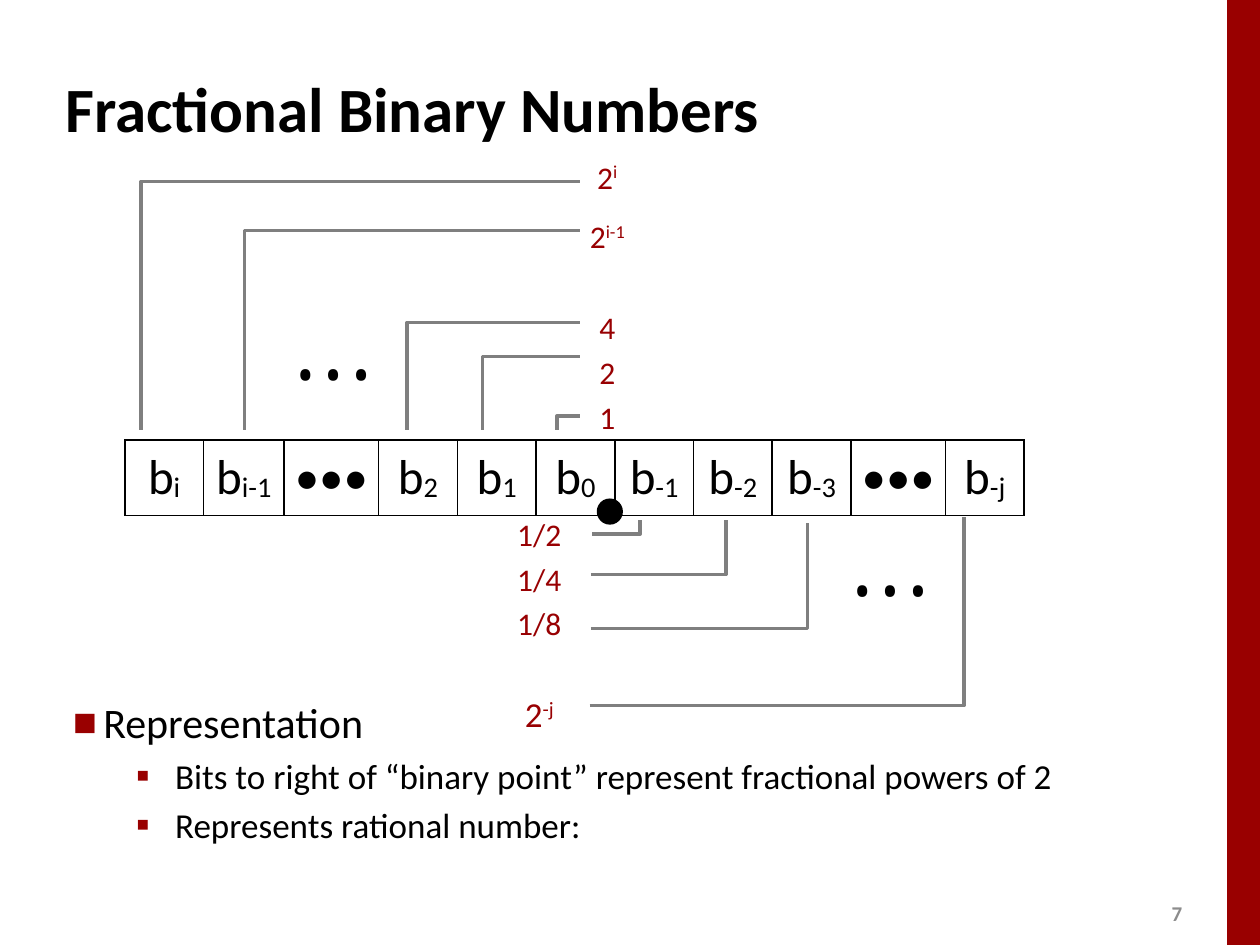
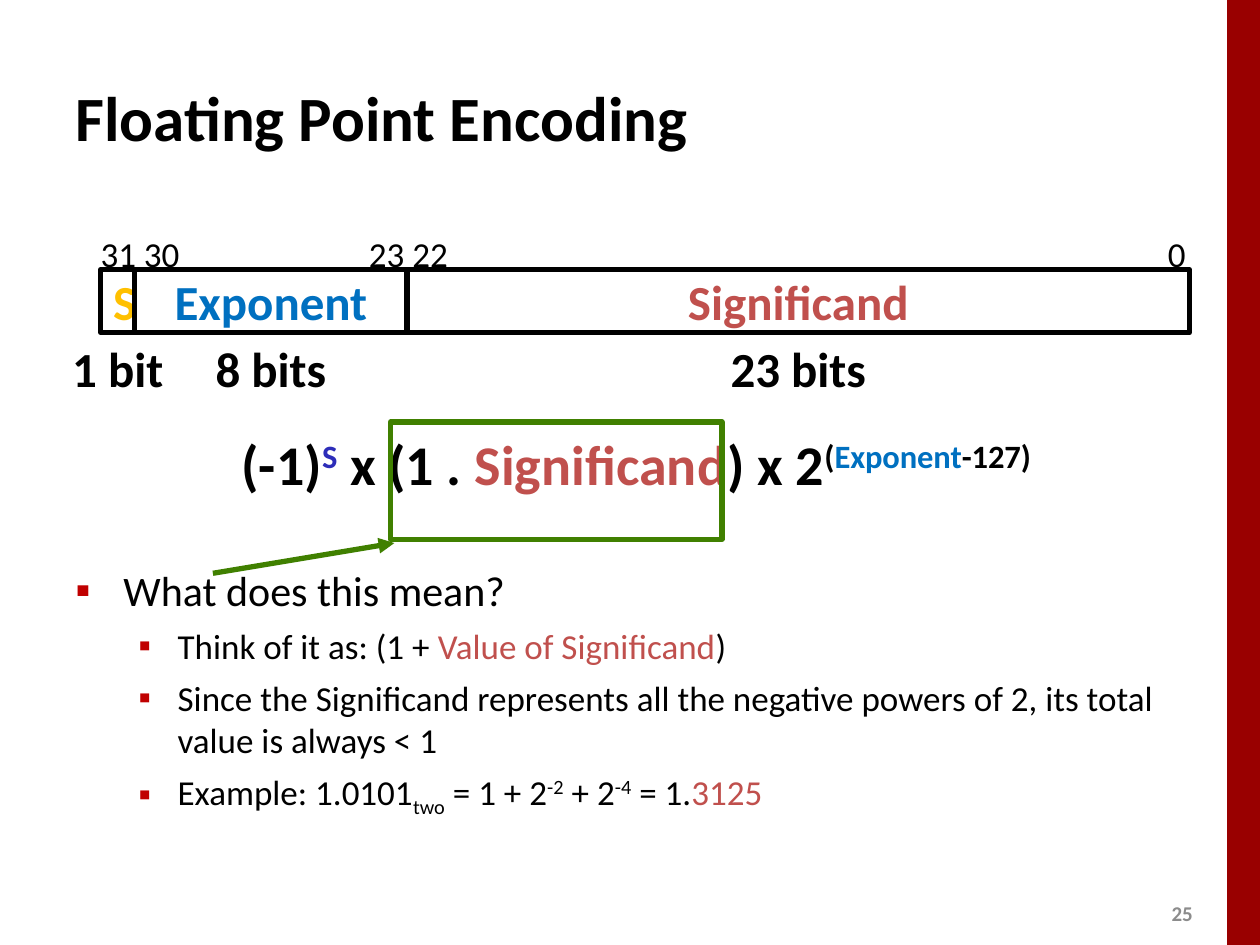
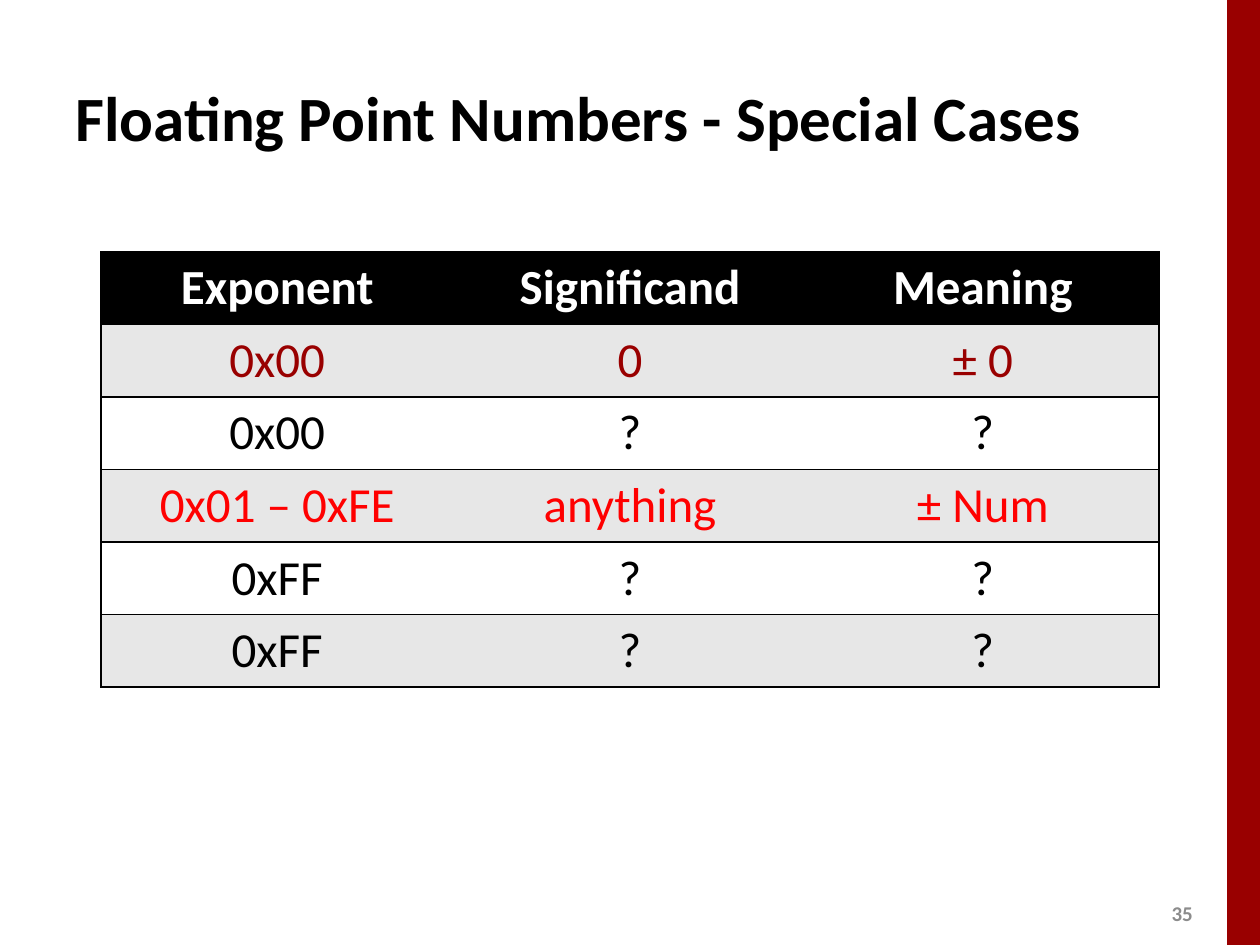
from dataclasses import dataclass
from typing import NamedTuple, Optional

from lxml.etree import SubElement
from pptx import Presentation
from pptx.dml.color import RGBColor
from pptx.enum.shapes import MSO_CONNECTOR as CONN, MSO_SHAPE as SHAPE
from pptx.enum.text import MSO_ANCHOR as ANCHOR, MSO_AUTO_SIZE as AUTO, PP_ALIGN as ALIGN
from pptx.oxml.ns import qn
from pptx.util import Inches, Pt

BLACK = RGBColor(0x00, 0x00, 0x00)
WHITE = RGBColor(0xFF, 0xFF, 0xFF)
BAND_RED = RGBColor(0x99, 0x00, 0x00)
WEIGHT_RED = RGBColor(0x98, 0x00, 0x02)
BULLET_RED = RGBColor(0xC0, 0x00, 0x00)
BRIGHT_RED = RGBColor(0xFF, 0x00, 0x00)
SIGNIFICAND = RGBColor(0xC0, 0x50, 0x4D)
EXPONENT = RGBColor(0x00, 0x70, 0xC0)
SIGN = RGBColor(0xFF, 0xC0, 0x00)
POWER_BLUE = RGBColor(0x2D, 0x2D, 0xB9)
GREEN = RGBColor(0x40, 0x80, 0x00)
BRACKET_GRAY = RGBColor(0x7F, 0x7F, 0x7F)
NUMBER_GRAY = RGBColor(0x8C, 0x8C, 0x8C)
STRIPE_GRAY = RGBColor(0xE7, 0xE7, 0xE7)

NO_TABLE_STYLE = "{2D5ABB26-0587-4C30-8999-92F81FD0307C}"
TITLE_BOX = (0.5, 0.3, 9, 1.25)
PADDING = (0.1, 0.05, 0.1, 0.05)


class Run(NamedTuple):
    """A piece of text with its colour, baseline shift in percent and size."""
    text: str
    color: Optional[RGBColor] = None
    base: int = 0
    size: Optional[float] = None


class Bullet(NamedTuple):
    """The look of one list level."""
    mark: str
    color: RGBColor
    scale: int
    margin: float
    hang: float
    size: float
    before: float
    level: int = 0


class Bracket(NamedTuple):
    """A horizontal bar that turns into a vertical leg."""
    bar_x: float
    bar_y: float
    leg_x: float
    leg_y: float


class Field(NamedTuple):
    """One bit field of the encoding, with the caption under it."""
    left: float
    width: float
    name: str
    color: RGBColor
    caption: str
    caption_left: float
    caption_width: float


@dataclass
class Grid:
    """A table: its place, contents and look."""
    left: float
    top: float
    widths: list
    heights: list
    cells: list
    size: float
    color: RGBColor
    line: RGBColor
    margins: tuple = (0, 0, 0, 0)
    anchor: ANCHOR = ANCHOR.MIDDLE
    inner_columns: bool = True
    fills: Optional[list] = None
    bold_header: bool = False


def write(p, runs: list, size: float, color: RGBColor = BLACK, bold: bool = False,
          font: str = "Calibri") -> None:
    """Add runs to a paragraph."""
    for run in runs:
        r = p.add_run()
        r.text = run.text
        fmt = {"name": font, "size": Pt(run.size or size), "bold": bold}
        for key, value in fmt.items():
            setattr(r.font, key, value)
        r.font.color.rgb = run.color or color
        if run.base:
            r._r.get_or_add_rPr().set("baseline", str(run.base * 1000))


def set_margins(target, margins: tuple) -> None:
    """Set the left, top, right and bottom margins of a text frame or cell."""
    for side, value in zip(("left", "top", "right", "bottom"), margins):
        setattr(target, f"margin_{side}", Inches(value))


def set_frame(tf, margins: tuple = PADDING, wrap: bool = True, anchor: ANCHOR = ANCHOR.TOP) -> None:
    """Format a text frame."""
    fmt = {"auto_size": AUTO.NONE, "word_wrap": wrap, "vertical_anchor": anchor}
    for key, value in fmt.items():
        setattr(tf, key, value)
    set_margins(tf, margins)


def place(sp, at: tuple) -> None:
    """Move and size a shape, in inches."""
    for key, value in zip(("left", "top", "width", "height"), at):
        setattr(sp, key, Inches(value))


def add_box(shapes, at: tuple, fill: Optional[RGBColor] = None, line: Optional[RGBColor] = None,
            weight: float = 3, kind: SHAPE = SHAPE.RECTANGLE):
    """Add a preset shape with an optional fill and line."""
    sp = shapes.add_shape(kind, *map(Inches, at))
    paint(sp, fill, line, weight)
    return sp


def paint(sp, fill: Optional[RGBColor], line: Optional[RGBColor], weight: float) -> None:
    """Set fill and line, and take the shadow off."""
    sp.shadow.inherit = False
    for part, color in ((sp.fill, fill), (sp.line.fill, line)):
        if color is None:
            part.background()
        else:
            part.solid()
            part.fore_color.rgb = color
    if line is not None:
        sp.line.width = Pt(weight)


def add_text(shapes, at: tuple, runs: list, size: float, color: RGBColor = BLACK,
             bold: bool = False, align: ALIGN = ALIGN.LEFT, **frame):
    """Add a text box and return its paragraph."""
    tf = shapes.add_textbox(*map(Inches, at)).text_frame
    set_frame(tf, **frame)
    p = tf.paragraphs[0]
    p.alignment = align
    write(p, runs, size, color, bold)
    return p


def add_bracket(shapes, bracket: Bracket) -> None:
    """Draw one bracket as an open outline."""
    bar_x, bar_y, leg_x, leg_y = map(Inches, bracket)
    builder = shapes.build_freeform(bar_x, bar_y)
    builder.add_line_segments([(leg_x, bar_y), (leg_x, leg_y)], close=False)
    paint(builder.convert_to_shape(), None, BRACKET_GRAY, 2)


def add_dots(shapes, at: tuple, rotation: float) -> None:
    """Add the dots that stand for left-out brackets."""
    sp = add_box(shapes, at, WHITE)
    sp.rotation = rotation
    set_frame(sp.text_frame, (0.04,) * 4, False, ANCHOR.MIDDLE)
    p = sp.text_frame.paragraphs[0]
    p.alignment = ALIGN.LEFT
    write(p, [Run("• • •")], 24, bold=True, font="Cambria")


def add_arrow(shapes, start: tuple, end: tuple) -> None:
    """Draw a green arrow."""
    arrow = shapes.add_connector(CONN.STRAIGHT, *map(Inches, start + end))
    arrow.line.color.rgb = GREEN
    arrow.line.width = Pt(3)
    SubElement(arrow.line._get_or_add_ln(), qn("a:tailEnd"), type="triangle")
    SubElement(arrow.element.spPr, qn("a:effectLst"))


def add_edges(cell, edges: str, color: RGBColor) -> None:
    """Draw one-point borders on the edges named by letter."""
    tc_pr = cell._tc.get_or_add_tcPr()
    for edge in edges:
        ln = SubElement(tc_pr, qn(f"a:ln{edge}"), w=str(Pt(1)))
        SubElement(SubElement(ln, qn("a:solidFill")), qn("a:srgbClr"), val=str(color))


def add_grid(shapes, grid: Grid) -> None:
    """Draw a table."""
    size = (Inches(sum(grid.widths)), Inches(sum(grid.heights)))
    frame = shapes.add_table(len(grid.heights), len(grid.widths),
                             Inches(grid.left), Inches(grid.top), *size)
    table = frame.table
    table.first_row = grid.bold_header
    table.horz_banding = False
    for style in frame.element.iter(qn("a:tableStyleId")):
        style.text = NO_TABLE_STYLE
    for column, width in zip(table.columns, grid.widths):
        column.width = Inches(width)
    for row, height in zip(table.rows, grid.heights):
        row.height = Inches(height)
    last = len(grid.widths) - 1
    for i, row in enumerate(grid.cells):
        for j, runs in enumerate(row):
            cell = table.cell(i, j)
            set_margins(cell, grid.margins)
            cell.vertical_anchor = grid.anchor
            left = "L" if grid.inner_columns or j == 0 else ""
            right = "R" if grid.inner_columns or j == last else ""
            add_edges(cell, left + right + "TB", grid.line)
            if grid.fills:
                cell.fill.solid()
                cell.fill.fore_color.rgb = grid.fills[i]
            else:
                cell.fill.background()
            p = cell.text_frame.paragraphs[0]
            p.alignment = ALIGN.CENTER
            write(p, runs, grid.size, grid.color, grid.bold_header and i == 0)


def fill_list(sp, at: tuple, items: list, margins: tuple = PADDING) -> None:
    """Fill the body placeholder with bulleted paragraphs."""
    place(sp, at)
    tf = sp.text_frame
    set_frame(tf, margins)
    for i, (bullet, runs) in enumerate(items):
        p = tf.add_paragraph() if i else tf.paragraphs[0]
        p.level = bullet.level
        p.space_before = Pt(bullet.before if i else 0)
        p_pr = p._p.get_or_add_pPr()
        p_pr.set("marL", str(Inches(bullet.margin)))
        p_pr.set("indent", str(-Inches(bullet.hang)))
        SubElement(SubElement(p_pr, qn("a:buClr")), qn("a:srgbClr"), val=str(bullet.color))
        SubElement(p_pr, qn("a:buSzPct"), val=str(bullet.scale * 1000))
        SubElement(p_pr, qn("a:buFont"), typeface="Calibri")
        SubElement(p_pr, qn("a:buChar"), char=bullet.mark)
        write(p, runs, bullet.size)


def add_slide(prs, layout: int, title: str, number: int, title_box: tuple = TITLE_BOX):
    """Add a slide with its title and page number."""
    s = prs.slides.add_slide(prs.slide_layouts[layout])
    sp = s.shapes.title
    place(sp, title_box)
    set_frame(sp.text_frame, anchor=ANCHOR.MIDDLE)
    p = sp.text_frame.paragraphs[0]
    p.alignment = ALIGN.LEFT
    write(p, [Run(title)], 36, bold=True)
    add_text(s.shapes, (9.2, 7.1, 0.4, 0.3), [Run(str(number))], 12, NUMBER_GRAY, True,
             anchor=ANCHOR.MIDDLE)
    return s


def add_master_band(prs, s) -> None:
    """Put the red side band on the slide master."""
    band = add_box(s.shapes, (9.74, 0, 0.26, 7.5), BAND_RED)
    prs.slide_master.shapes.element.append(band.element)


def build_fractions(prs):
    """Build the slide on fractional binary numbers."""
    s = add_slide(prs, 1, "Fractional Binary Numbers", 7, (0.42, 0, 7.51, 1.7))
    shapes = s.shapes
    whole = [[Run("2"), Run("i", base=32)], [Run("2"), Run("i-1", base=32)], [],
             [Run("4")], [Run("2")], [Run("1")]]
    parts = [[Run("1/2")], [Run("1/4")], [Run("1/8")], [],
             [Run("2", size=20), Run("-j", base=32, size=20)]]
    add_grid(shapes, Grid(4.5, 1.18, [0.64], [0.47, 0.47, 0.29] + [0.36] * 3,
                          [[runs] for runs in whole], 18, WEIGHT_RED, WHITE))
    add_grid(shapes, Grid(3.92, 4.08, [0.72], [0.35] * 3 + [0.22, 0.49],
                          [[runs] for runs in parts], 18, WEIGHT_RED, WHITE))

    indexes = ["i", "i-1", "", "2", "1", "0", "-1", "-2", "-3", "", "-j"]
    special = {"i-1": 0.64, "": 0.75}
    bit_width = (7.14 - 0.64 - 2 * 0.75) / 8
    bits = [[Run("b"), Run(k, base=-6)] if k else [Run("•••")] for k in indexes]
    add_grid(shapes, Grid(0.99, 3.49, [special.get(k, bit_width) for k in indexes], [0.6],
                          [bits], 28, BLACK, BLACK, (0.06,) * 4))

    add_dots(shapes, (6.79, 4.44, 0.61, 0.58), 180)
    add_dots(shapes, (2.31, 2.65, 0.61, 0.58), 0)
    upper = [(4.42, 3.3), (3.83, 2.83), (3.23, 2.56), (1.94, 1.83), (1.12, 1.44)]
    brackets = [Bracket(4.6, y, x, 3.41) for x, y in upper] + [
        Bracket(4.7, 4.24, 5.08, 4.13), Bracket(4.69, 4.56, 5.76, 4.13),
        Bracket(4.69, 4.99, 6.41, 4.15), Bracket(4.68, 5.6, 7.65, 4.1)]
    for bracket in brackets:
        add_bracket(shapes, bracket)
    add_box(shapes, (4.75, 3.97, 0.18, 0.18), BLACK, BLACK, 2, SHAPE.OVAL)

    top = Bullet("■", BAND_RED, 60, 0.24, 0.24, 24, 0)
    sub = Bullet("▪", BAND_RED, 110, 0.81, 0.31, 20, 4, 1)
    fill_list(s.placeholders[1], (0.48, 5.48, 9.27, 2.02), [
        (top, [Run("Representation")]),
        (sub, [Run("Bits to right of “binary point” represent fractional powers of 2")]),
        (sub, [Run("Represents rational number:")])])
    return s


def build_encoding(prs) -> None:
    """Build the slide on the bit fields of a floating point number."""
    s = add_slide(prs, 1, "Floating Point Encoding", 25)
    top = Bullet("▪", BULLET_RED, 100, 0.38, 0.38, 24, 0)
    sub = Bullet("▪", BULLET_RED, 100, 0.81, 0.31, 20, 5.6, 1)
    fill_list(s.placeholders[1], (0.5, 1.75, 9, 5.4), [
        (top, [Run("What does this mean?")]),
        (sub, [Run("Think of it as: (1 + "), Run("Value of Significand", SIGNIFICAND), Run(")")]),
        (sub, [Run("Since the Significand represents all the negative powers of 2, "
                   "its total value is always < 1")]),
        (sub, [Run("Example: 1.0101"), Run("two", base=-25), Run(" = 1 + 2"), Run("-2", base=30),
               Run(" + 2"), Run("-4", base=30), Run(" = 1."), Run("3125", SIGNIFICAND)]),
    ], (0.1, 2.73, 0.1, 0.05))

    formula = [Run("(-1)"), Run("S", POWER_BLUE, 30), Run(" x (1 . "),
               Run("Significand", SIGNIFICAND), Run(") x 2"), Run("(", base=30),
               Run("Exponent", EXPONENT, 30), Run("-127)", base=30)]
    p = add_text(s.shapes, (0.05, 3.5, 10, 0.48), formula, 32, bold=True, align=ALIGN.CENTER,
                 margins=(0.07, 0.03, 0.07, 0.03))
    p.line_spacing = 0.75

    shapes = s.shapes.add_group_shape().shapes
    fields = [Field(0.8, 0.27, "S", SIGN, "1 bit", 0.45, 0.97),
              Field(1.07, 2.16, "Exponent", EXPONENT, "8 bits", 1.07, 2.16),
              Field(3.23, 6.21, "Significand", SIGNIFICAND, "23 bits", 3.23, 6.21)]
    for field in fields:
        sp = add_box(shapes, (field.left, 2.14, field.width, 0.5), line=BLACK)
        set_frame(sp.text_frame, anchor=ANCHOR.MIDDLE)
        p = sp.text_frame.paragraphs[0]
        p.alignment = ALIGN.CENTER
        write(p, [Run(field.name)], 28, field.color, True)
        add_text(shapes, (field.caption_left, 2.64, field.caption_width, 0.57),
                 [Run(field.caption)], 28, bold=True, align=ALIGN.CENTER)
    for left, width, label in ((0.7, 0.83, "31 30"), (2.83, 0.83, "23 22"), (9.17, 0.34, "0")):
        add_text(shapes, (left, 1.8, width, 0.44), [Run(label)], 20, wrap=False)

    add_box(s.shapes, (3.1, 3.35, 2.63, 0.93), line=GREEN)
    add_arrow(s.shapes, (1.69, 4.55), (3.13, 4.31))


def build_special_cases(prs) -> None:
    """Build the slide with the table of special cases."""
    s = add_slide(prs, 5, "Floating Point Numbers - Special Cases", 35)
    rows = [(WHITE, "Exponent", "Significand", "Meaning"),
            (BAND_RED, "0x00", "0", "± 0"),
            (BLACK, "0x00", "?", "?"),
            (BRIGHT_RED, "0x01 – 0xFE", "anything", "± Num"),
            (BLACK, "0xFF", "?", "?"),
            (BLACK, "0xFF", "?", "?")]
    cells = [[[Run(text, color)] for text in texts] for color, *texts in rows]
    fills = [BLACK] + [WHITE if i % 2 else STRIPE_GRAY for i in range(len(rows) - 1)]
    add_grid(s.shapes, Grid(0.8, 2, [2.8] * 3, [3.45 / len(rows)] * len(rows), cells, 28,
                            BLACK, BLACK, PADDING, ANCHOR.TOP, False, fills, True))


def main() -> None:
    """Build and save the presentation."""
    prs = Presentation()
    prs.slide_width, prs.slide_height = Inches(10), Inches(7.5)
    add_master_band(prs, build_fractions(prs))
    build_encoding(prs)
    build_special_cases(prs)
    prs.save("out.pptx")


if __name__ == "__main__":
    main()
